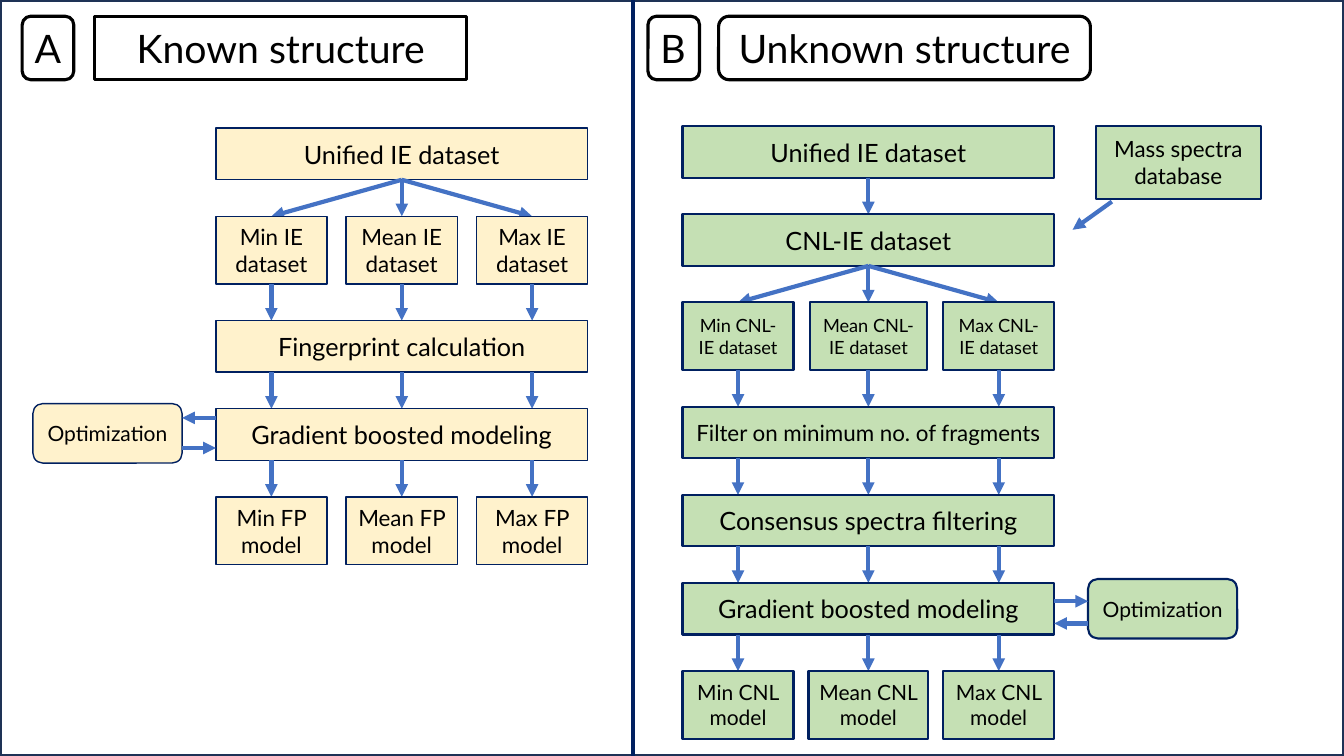
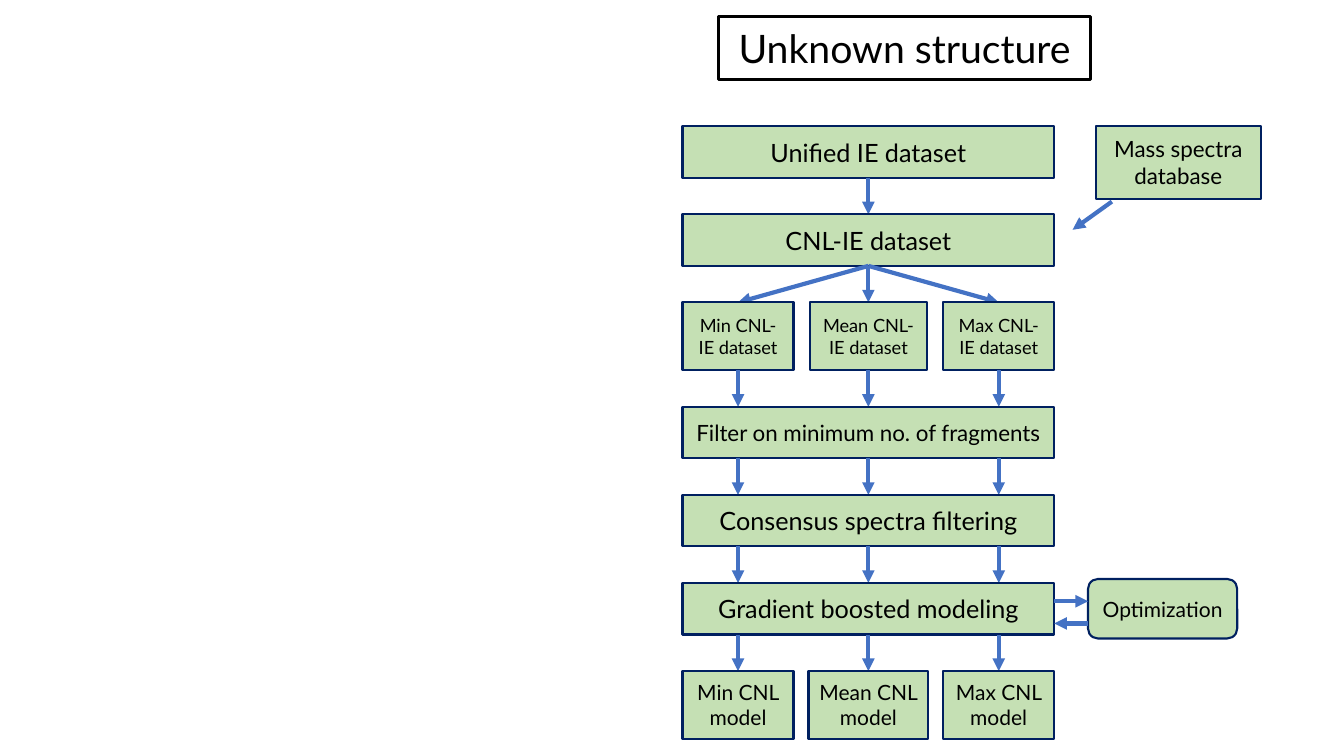
from lxml import etree
from pptx import Presentation
from pptx import util as u
from pptx.dml import color
from pptx.enum import shapes, text
from pptx.oxml import ns

INK = {
    "white": "FFFFFF",
    "black": "000000",
    "frame": "1E3256",
    "navy": "002060",
    "arrow": "4472C4",
    "cream": "FFF2CC",
    "green": "C5E0B4",
}
FONT = "Lato"
WIDE, HIGH = 33.87, 19.05
SPAN, BAR, CELL, SIDE, GAP = 9.37, 1.3, 1.71, 2.8, 0.92
RECT = shapes.MSO_SHAPE.RECTANGLE
ROUND = shapes.MSO_SHAPE.ROUNDED_RECTANGLE

KNOWN = [
    (["Unified IE dataset"], 18, SIDE, None),
    (["Min IE dataset", "Mean IE dataset", "Max IE dataset"], 16, SIDE, "fan"),
    (["Fingerprint calculation"], 18, SIDE, "three"),
    (["Gradient boosted modeling"], 18, SIDE, "three"),
    (["Min FP model", "Mean FP model", "Max FP model"], 16, SIDE, "three"),
]
UNKNOWN = [
    (["Unified IE dataset"], 18, SIDE, None),
    (["CNL-IE dataset"], 18, SIDE, "one"),
    (["Min CNL-IE dataset", "Mean CNL-IE dataset", "Max CNL-IE dataset"], 13, 2.95, "fan"),
    (["Filter on minimum no. of fragments"], 16, SIDE, "three"),
    (["Consensus spectra filtering"], 18, SIDE, "three"),
    (["Gradient boosted modeling"], 18, SIDE, "three"),
    (["Min CNL model", "Mean CNL model", "Max CNL model"], 15, 3.02, "three"),
]


def rgb(name):
    """Return the named colour."""
    return color.RGBColor.from_string(INK[name])


def paint(shape, fill, edge, width):
    """Set fill and outline and drop the shadow."""
    shape.shadow.inherit = False
    shape.fill.solid()
    shape.fill.fore_color.rgb = rgb(fill)
    shape.line.color.rgb = rgb(edge)
    shape.line.width = u.Pt(width)


def write(shape, words, size, align=text.PP_ALIGN.CENTER):
    """Put one formatted paragraph into a shape."""
    frame = shape.text_frame
    frame.text = words
    frame.word_wrap = True
    frame.auto_size = text.MSO_AUTO_SIZE.NONE
    frame.vertical_anchor = text.MSO_ANCHOR.MIDDLE
    para = frame.paragraphs[0]
    para.alignment = align
    para.line_spacing = 1.0
    font = para.runs[0].font
    font.name, font.size = FONT, u.Pt(size)
    font.color.rgb = rgb("black")


def block(slide, kind, box, words, size, look):
    """Draw one labelled box in the look of its flow."""
    shape = slide.shapes.add_shape(kind, *map(u.Cm, box))
    paint(shape, look[0], "navy", look[1])
    write(shape, words, size)


def link(slide, start, end, ink="arrow", head=True):
    """Draw a straight line, with an arrowhead at its end if asked."""
    line = slide.shapes.add_connector(
        shapes.MSO_CONNECTOR.STRAIGHT, *map(u.Cm, start + end))
    line.line.color.rgb = rgb(ink)
    line.line.width = u.Pt(3)
    props = line.element.spPr
    if head:
        etree.SubElement(props.find(ns.qn("a:ln")), ns.qn("a:tailEnd"), type="triangle")
    etree.SubElement(props, ns.qn("a:effectLst"))


def badge(slide, words, left, width, title=False, align=text.PP_ALIGN.CENTER):
    """Draw a rounded heading, in the title placeholder if asked."""
    box = [u.Cm(n) for n in (left, 0.41, width, 1.6)]
    if title:
        shape = slide.shapes.title
        shape.left, shape.top, shape.width, shape.height = box
        shape_geom = etree.SubElement(
            shape.element.spPr, ns.qn("a:prstGeom"), prst="roundRect")
        etree.SubElement(shape_geom, ns.qn("a:avLst"))
    else:
        shape = slide.shapes.add_shape(ROUND, *box)
    paint(shape, "white", "black", 2.25)
    write(shape, words, 28, align)


def flow(slide, left, top, steps, look):
    """Stack bars and rows of three cells, joined by arrows."""
    mids = [left + SIDE / 2, left + SPAN / 2, left + SPAN - SIDE / 2]
    for words, size, wide, join in steps:
        if join:
            ends = mids[1:2] if join == "one" else mids
            for end in ends:
                start = mids[1] if join == "fan" else end
                link(slide, (start, top - GAP), (end, top))
        if len(words) == 1:
            high = BAR
            block(slide, RECT, (left, top, SPAN, high), words[0], size, look)
        else:
            high = CELL
            for label, mid, width in zip(words, mids, (SIDE, wide, SIDE)):
                block(slide, RECT, (mid - width / 2, top, width, high), label, size, look)
        top += high + GAP


def loop(slide, edge, mid, side, rise, look):
    """Place the optimization box beside a bar edge, side -1 left or 1 right."""
    wide, high, gap = 3.76, 1.5, 0.85
    far = edge + side * gap
    left = far if side > 0 else far - wide
    block(slide, ROUND, (left, mid - high / 2, wide, high), "Optimization", 15, look)
    link(slide, (edge, mid - rise), (far, mid - rise))
    link(slide, (far, mid + 0.37), (edge, mid + 0.37))


def known(slide, left):
    """Draw the panel for known structures."""
    look = ("cream", 1)
    badge(slide, "Known structure", left + 2.39, SPAN, title=True)
    flow(slide, left + 5.44, 3.23, KNOWN, look)
    loop(slide, left + 5.44, 10.92, -1, 0.39, look)


def unknown(slide, left, title):
    """Draw the panel for unknown structures."""
    look = ("green", 1.5)
    badge(slide, "Unknown structure", left + 2.16, SPAN, title)
    flow(slide, left + 1.25, 3.18, UNKNOWN, look)
    loop(slide, left + 1.25 + SPAN, 15.34, 1, 0.19, look)
    block(slide, RECT, (left + 11.66, 3.18, 4.17, 1.83), "Mass spectra database", 16, look)
    link(slide, (left + 12.07, 5.08), (left + 11.08, 5.79))


def main():
    """Build both slides and save them."""
    deck = Presentation()
    deck.slide_width, deck.slide_height = u.Cm(WIDE), u.Cm(HIGH)
    both, single = (deck.slides.add_slide(deck.slide_layouts[5]) for _ in range(2))
    split = 15.95

    frame = both.shapes.add_shape(RECT, 0, 0, u.Cm(WIDE), u.Cm(HIGH))
    paint(frame, "white", "frame", 3)
    both.shapes.title.element.addprevious(frame.element)
    known(both, 0)
    unknown(both, split, False)
    for mark, left in (("A", 0.56), ("B", split + 0.38)):
        badge(both, mark, left, 1.3, align=text.PP_ALIGN.LEFT)
    link(both, (split, 0), (split, HIGH), "navy", False)

    unknown(single, split, True)
    deck.save("out.pptx")


if __name__ == "__main__":
    main()
